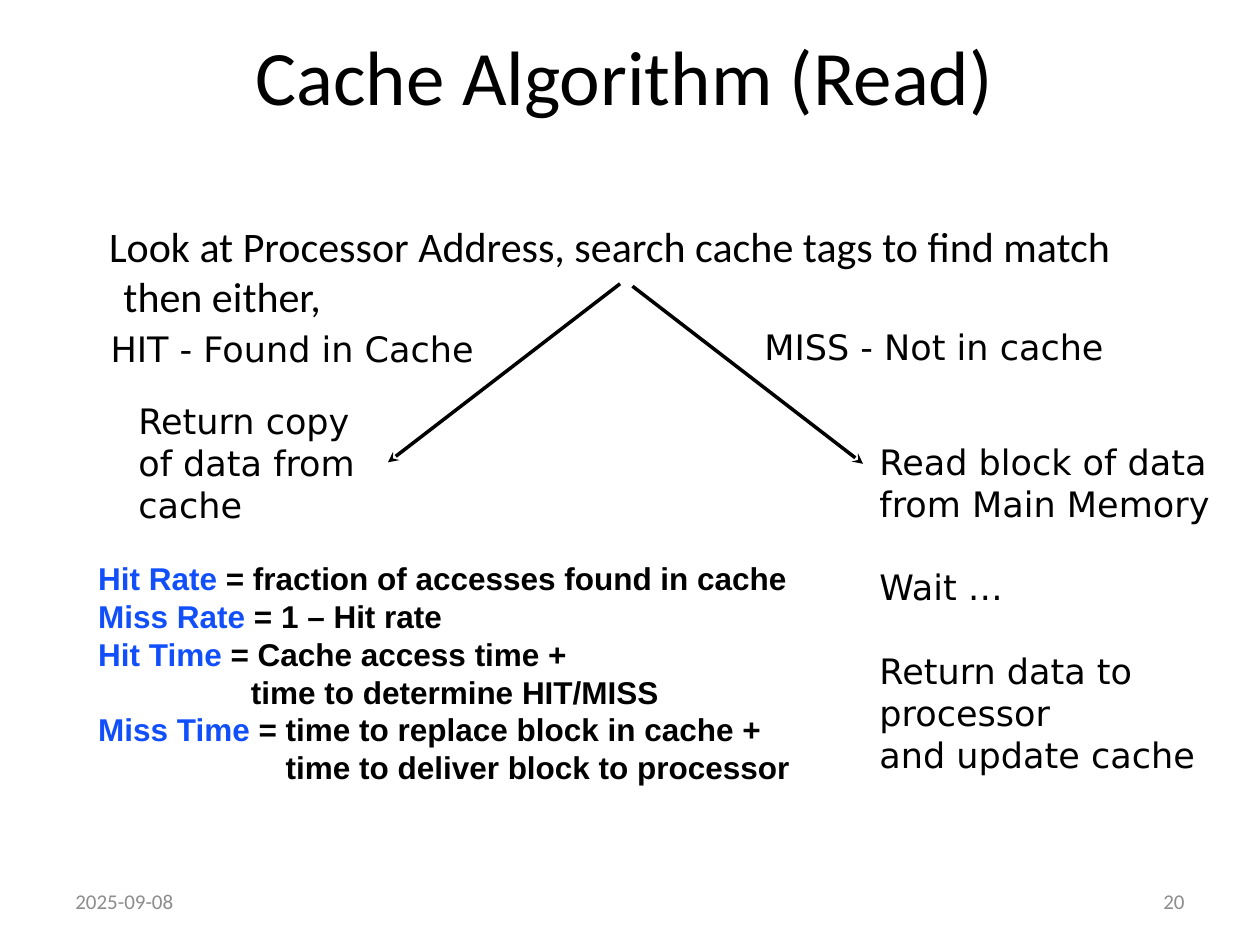
import pptx
import pptx.util
import pptx.dml.color
import pptx.enum.shapes
import pptx.enum.text
import pptx.oxml
import pptx.oxml.ns
from pptx.util import Cm, Pt

BLACK = pptx.dml.color.RGBColor(0x00, 0x00, 0x00)
BLUE = pptx.dml.color.RGBColor(0x11, 0x4F, 0xFB)
GREY = pptx.dml.color.RGBColor(0x8C, 0x8C, 0x8C)
ALIGN = pptx.enum.text.PP_ALIGN
MIDDLE = pptx.enum.text.MSO_ANCHOR.MIDDLE


def add_run(p, text, size, font, color=BLACK, bold=False):
    r = p.add_run()
    r.text = text
    r.font.size = Pt(size)
    r.font.name = font
    r.font.bold = bold
    r.font.color.rgb = color


def add_box(left, top, width, height):
    """Add a wrapping text box, in centimetres, and return its text frame."""
    tf = s.shapes.add_textbox(Cm(left), Cm(top), Cm(width), Cm(height)).text_frame
    tf.word_wrap = True
    return tf


prs = pptx.Presentation()
prs.slide_width, prs.slide_height = Cm(25.4), Cm(19.05)
s = prs.slides.add_slide(prs.slide_layouts[5])

# Title
sp = s.shapes.title
sp.left, sp.top, sp.width, sp.height = Cm(2.03), Cm(0.94), Cm(21.13), Cm(1.14)
sp.text_frame.vertical_anchor = MIDDLE
p = sp.text_frame.paragraphs[0]
p.alignment = ALIGN.CENTER
add_run(p, "Cache Algorithm (Read)", 44, "Calibri")

# Date and slide number
for left, text, align in [(1.27, "2025-09-08", ALIGN.LEFT), (18.21, "20", ALIGN.RIGHT)]:
    tf = add_box(left, 17.65, 5.92, 1.02)
    tf.vertical_anchor = MIDDLE
    tf.paragraphs[0].alignment = align
    add_run(tf.paragraphs[0], text, 12, "Calibri", GREY)

# Opening step, with a hanging indent
tf = add_box(1.27, 4.14, 22.86, 12.57)
tf.margin_top = Cm(0.3)
p = tf.paragraphs[0]
pPr = p._p.get_or_add_pPr()
pPr.set("marL", str(Cm(0.97)))
pPr.set("indent", str(Cm(-0.29)))
add_run(p, "Look at Processor Address, search cache tags to find match then either,",
        24, "Calibri")

# Arrows to the two outcomes
for x1, y1, x2, y2 in [(12.5, 5.72, 7.82, 9.32), (12.75, 5.77, 17.4, 9.35)]:
    line = s.shapes.add_connector(pptx.enum.shapes.MSO_CONNECTOR.STRAIGHT,
                                  Cm(x1), Cm(y1), Cm(x2), Cm(y2))
    line.line.color.rgb = BLACK
    line.line.width = Pt(2)
    ns = pptx.oxml.ns.nsdecls("a")
    line.line._get_or_add_ln().append(
        pptx.oxml.parse_xml(f'<a:tailEnd {ns} type="stealth"/>'))
    line._element.spPr.append(pptx.oxml.parse_xml(f"<a:effectLst {ns}/>"))

# Outcomes: box, then (text, points before) for each paragraph
outcomes = [
    ((1.98, 6.48, 8.03, 1.96), [("HIT - Found in Cache", 0)]),
    ((2.54, 7.92, 4.9, 2.79), [("Return copy", 0), ("of data from", 0), ("cache", 0)]),
    ((15.16, 6.43, 7.57, 1.96), [("MISS - Not in cache", 0)]),
    ((17.48, 8.76, 7.29, 7.04), [("Read block of data from Main Memory", 0),
                                 ("Wait …", 23.5),
                                 ("Return data to processor", 23.5),
                                 ("and update cache", 0)]),
]
for box, steps in outcomes:
    tf = add_box(*box)
    for i, (text, before) in enumerate(steps):
        p = tf.add_paragraph() if i else tf.paragraphs[0]
        if before:
            p.space_before = Pt(before)
        add_run(p, text, 20, "DejaVu Sans")

# Definitions: term, meaning, indent in centimetres
definitions = [
    ("Hit Rate", " = fraction of accesses found in cache", 0),
    ("Miss Rate", " = 1 – Hit rate", 0),
    ("Hit Time", " = Cache access time +", 0),
    ("", "time to determine HIT/MISS", 3.08),
    ("Miss Time", " = time to replace block in cache +", 0),
    ("", "time to deliver block to processor", 3.78),
]
tf = add_box(1.73, 11.15, 14.58, 4.88)
for i, (term, meaning, indent) in enumerate(definitions):
    p = tf.add_paragraph() if i else tf.paragraphs[0]
    if indent:
        p._p.get_or_add_pPr().set("marL", str(Cm(indent)))
    if term:
        add_run(p, term, 18, "Arial", BLUE, True)
    add_run(p, meaning, 18, "Arial", BLACK, True)

prs.save("out.pptx")
